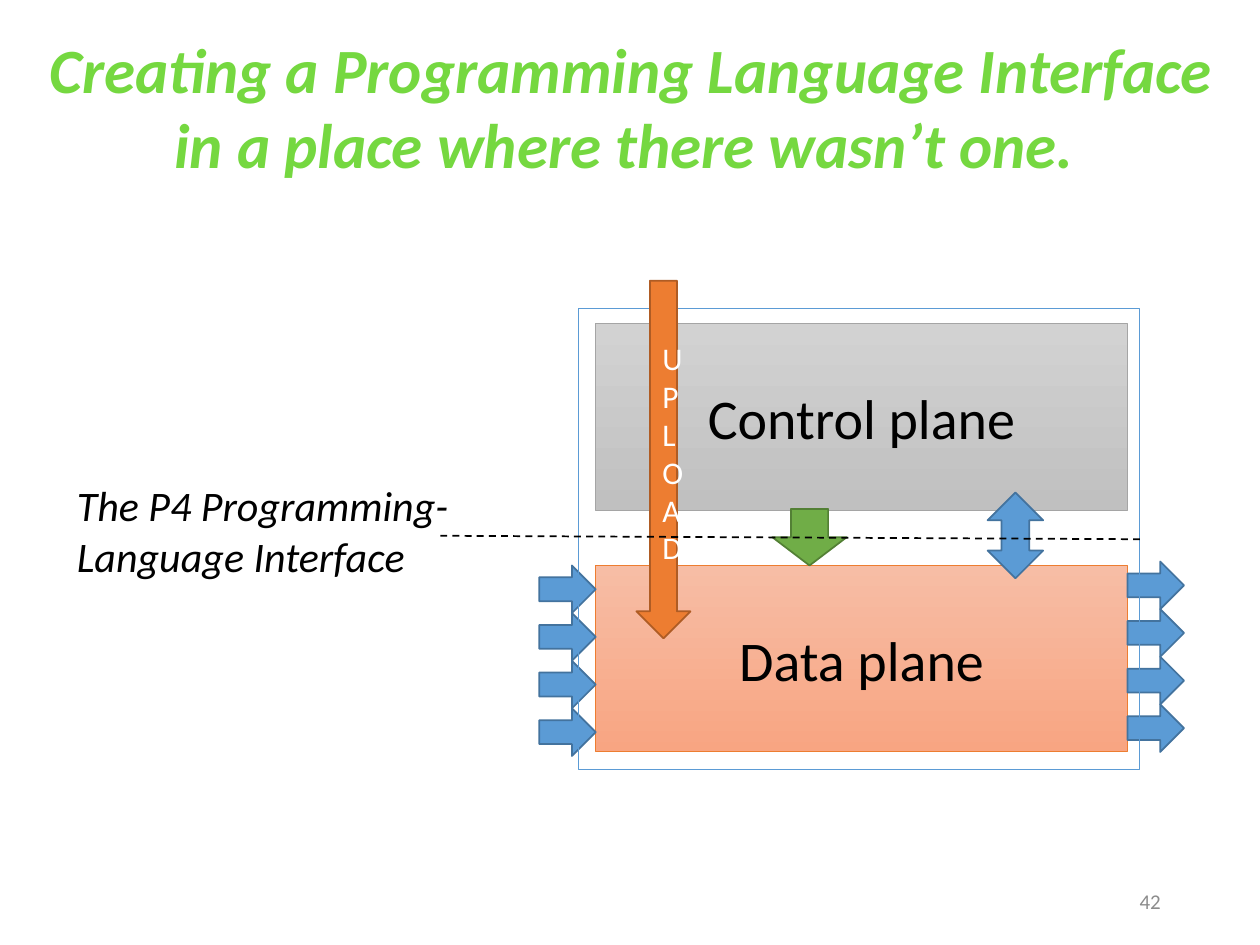
from dataclasses import dataclass
from typing import Optional

from lxml.etree import SubElement
from pptx import Presentation
from pptx.dml.color import RGBColor
from pptx.enum.dml import MSO_LINE
from pptx.enum.shapes import MSO_CONNECTOR, MSO_SHAPE
from pptx.enum.text import MSO_ANCHOR, MSO_AUTO_SIZE, PP_ALIGN
from pptx.oxml.ns import qn
from pptx.util import Cm, Pt


@dataclass(frozen=True)
class Theme:
    font: str = "Calibri"
    title: str = "75D840"
    black: str = "000000"
    white: str = "FFFFFF"
    muted: str = "8C8C8C"
    gray: tuple = ("D2D2D2", "C0C0C0")
    gray_line: str = "A5A5A5"
    peach: tuple = ("F7BDA5", "F8A582")
    orange: str = "ED7D31"
    orange_line: str = "AF5C24"
    blue: str = "5B9BD5"
    blue_line: str = "43739E"
    green: str = "70AD47"
    green_line: str = "538035"
    title_size: int = 36
    plane_size: int = 32
    note_size: int = 24
    upload_size: int = 18
    number_size: int = 12
    thin: float = 0.5
    medium: float = 1


T = Theme()


@dataclass(frozen=True)
class Box:
    left: float
    top: float
    width: float
    height: float

    def lengths(self) -> tuple:
        return Cm(self.left), Cm(self.top), Cm(self.width), Cm(self.height)


@dataclass(frozen=True)
class Block:
    kind: MSO_SHAPE
    box: Box
    fill: Optional[object]  # one colour, a (top, bottom) pair, or None
    line: str
    weight: float = T.medium
    text: str = ""
    size: int = T.plane_size
    color: str = T.black


def rgb(value: str) -> RGBColor:
    return RGBColor.from_string(value)


def write(sp, text: str, size: int, color: str, align: PP_ALIGN,
          anchor: MSO_ANCHOR = MSO_ANCHOR.MIDDLE, bold: bool = False,
          italic: bool = False) -> None:
    tf = sp.text_frame
    tf.word_wrap = True
    tf.vertical_anchor = anchor
    p = tf.paragraphs[0]
    p.text = text
    p.alignment = align
    for r in p.runs:
        r.font.name, r.font.size = T.font, Pt(size)
        r.font.bold, r.font.italic = bold, italic
        r.font.color.rgb = rgb(color)


def add_block(slide, block: Block):
    sp = slide.shapes.add_shape(block.kind, *block.box.lengths())
    sp.shadow.inherit = False
    if block.fill is None:
        sp.fill.background()
    elif isinstance(block.fill, tuple):
        sp.fill.gradient()
        sp.fill.gradient_angle = 270
        for stop, color in zip(sp.fill.gradient_stops, block.fill):
            stop.color.rgb = rgb(color)
    else:
        sp.fill.solid()
        sp.fill.fore_color.rgb = rgb(block.fill)
    sp.line.color.rgb = rgb(block.line)
    sp.line.width = Pt(block.weight)
    if block.text:
        write(sp, block.text, block.size, block.color, PP_ALIGN.CENTER)
    return sp


def add_ports(slide, left: float, top: float, count: int = 4) -> None:
    """Stack packet arrows on one side of the data plane."""
    width, height = 1.14, 0.96
    for i in range(count):
        box = Box(left, top + i * height, width, height)
        add_block(slide, Block(MSO_SHAPE.RIGHT_ARROW, box, T.blue, T.blue_line))


def add_interface_line(slide, frame, end_x: float, end_y: float) -> None:
    line = slide.shapes.add_connector(
        MSO_CONNECTOR.STRAIGHT, 0, 0, Cm(end_x), Cm(end_y))
    line.begin_connect(frame, 3)
    line.line.color.rgb = rgb(T.black)
    line.line.width = Pt(T.medium)
    line.line.dash_style = MSO_LINE.DASH
    SubElement(line._element.spPr, qn("a:effectLst"))


def add_title(slide, text: str, box: Box) -> None:
    sp = slide.shapes.title
    sp.left, sp.top, sp.width, sp.height = box.lengths()
    write(sp, text, T.title_size, T.title, PP_ALIGN.CENTER, MSO_ANCHOR.TOP,
          bold=True, italic=True)
    sp.text_frame.auto_size = MSO_AUTO_SIZE.NONE


def main() -> None:
    prs = Presentation()
    prs.slide_width, prs.slide_height = Cm(25.4), Cm(19.05)
    slide = prs.slides.add_slide(prs.slide_layouts[5])

    add_title(slide, "Creating a Programming Language Interface\v"
              "in a place where there wasn’t one. ", Box(0.38, 0.48, 24.69, 3.33))

    planes = (("Control plane", 6.53, T.gray, T.gray_line),
              ("Data plane", 11.4, T.peach, T.orange))
    for text, top, fill, line in planes:
        add_block(slide, Block(MSO_SHAPE.RECTANGLE, Box(12.01, top, 10.72, 3.76),
                               fill, line, T.thin, text))

    add_block(slide, Block(MSO_SHAPE.UP_DOWN_ARROW, Box(19.91, 9.93, 1.12, 1.73),
                           T.blue, T.blue_line))
    add_ports(slide, 10.87, 11.4)
    add_ports(slide, 22.73, 11.32)
    add_block(slide, Block(MSO_SHAPE.DOWN_ARROW, Box(15.57, 10.26, 1.5, 1.14),
                           T.green, T.green_line))
    frame = add_block(slide, Block(MSO_SHAPE.RECTANGLE, Box(11.66, 6.22, 11.32, 9.3),
                                   None, T.blue, T.thin))
    add_block(slide, Block(MSO_SHAPE.DOWN_ARROW, Box(12.83, 5.66, 1.09, 7.21),
                           T.orange, T.orange_line, text="UPLOAD",
                           size=T.upload_size, color=T.white))
    add_interface_line(slide, frame, 8.86, 10.8)

    note = slide.shapes.add_textbox(*Box(1.3, 9.55, 8.28, 2.31).lengths())
    write(note, "The P4 Programming-\vLanguage Interface", T.note_size, T.black,
          PP_ALIGN.LEFT, MSO_ANCHOR.TOP, italic=True)
    number = slide.shapes.add_textbox(*Box(18.14, 17.65, 5.51, 1.02).lengths())
    write(number, "42", T.number_size, T.muted, PP_ALIGN.RIGHT)

    prs.save("out.pptx")


if __name__ == "__main__":
    main()
